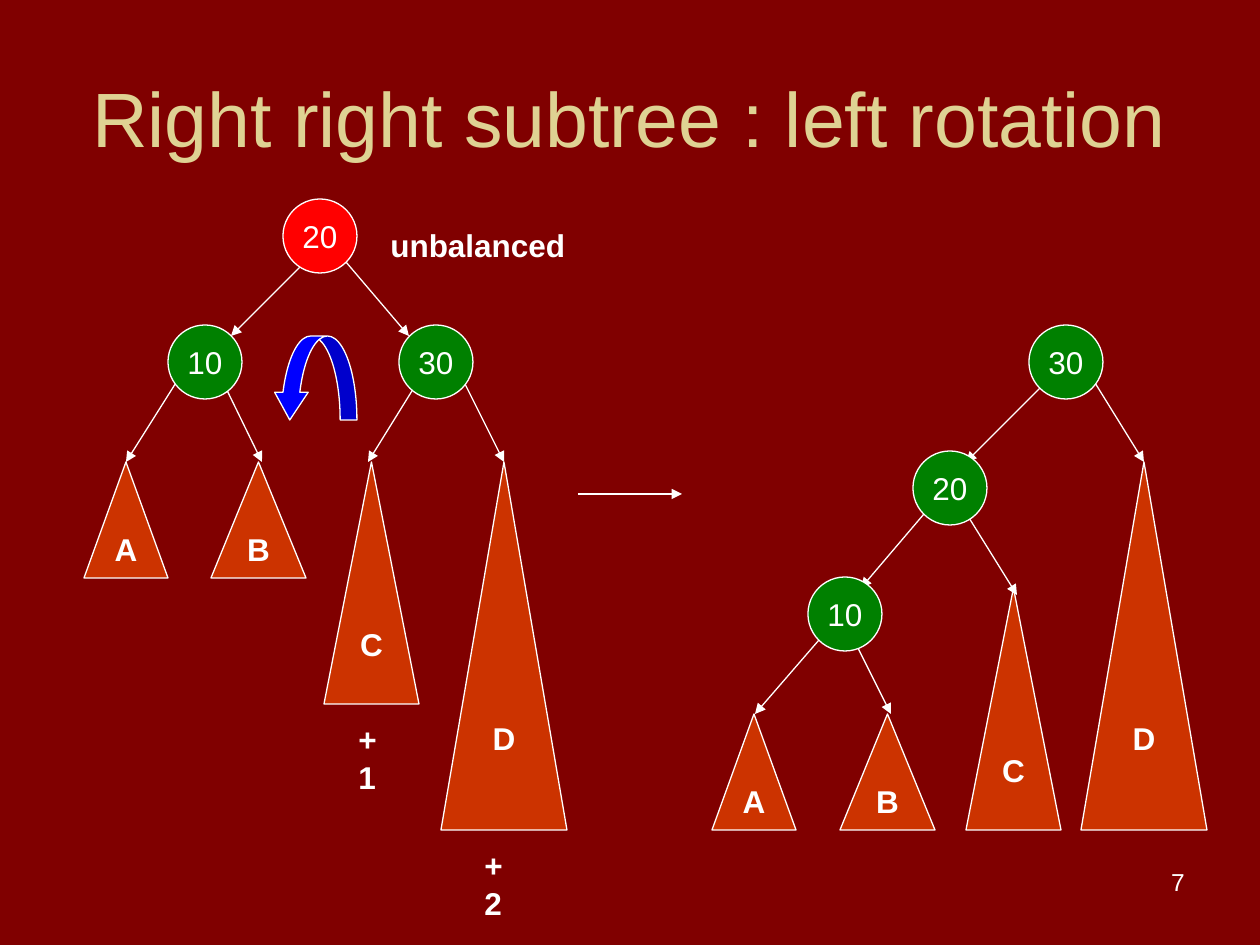
from lxml import etree
from pptx import Presentation
from pptx import util as u
from pptx.dml.color import RGBColor
from pptx.enum import shapes, text
from pptx.oxml.ns import qn

PX = 914400 / 126
WHITE, RED, GREEN, ORANGE, BLUE = "FFFFFF", "FF0000", "008000", "CC3300", "0000FF"
SHAPE = shapes.MSO_SHAPE
ALIGN = text.PP_ALIGN
ANCHOR = text.MSO_ANCHOR

prs = Presentation()
prs.slide_width, prs.slide_height = (u.Emu(round(v * PX)) for v in (1260, 945))
s = prs.slides.add_slide(prs.slide_layouts[6])
s.background.fill.solid()
s.background.fill.fore_color.rgb = RGBColor.from_string("800000")


def write(sp, words, align, anchor, wrap=False, color=WHITE, **font):
    tf = sp.text_frame
    tf.word_wrap = wrap
    tf.vertical_anchor = anchor
    p = tf.paragraphs[0]
    p.alignment = align
    r = p.add_run()
    r.text = words
    r.font.color.rgb = RGBColor.from_string(color)
    for name, value in {"name": "Arial", "size": u.Pt(18), **font}.items():
        setattr(r.font, name, value)


def add_filled(kind, box, color):
    sp = s.shapes.add_shape(kind, *(u.Emu(round(v * PX)) for v in box))
    sp.shadow.inherit = False
    sp.fill.solid()
    sp.fill.fore_color.rgb = RGBColor.from_string(color)
    sp.line.color.rgb = RGBColor.from_string(WHITE)
    sp.line.width = u.Pt(0.75)
    return sp


# Subtrees: label, left, top, width, height
subtrees = [
    ("A", 84, 462, 84, 116), ("B", 211, 462, 95, 116),
    ("C", 324, 462, 95, 242), ("D", 441, 462, 126, 368),
    ("A", 712, 714, 84, 116), ("B", 840, 714, 95, 116),
    ("C", 966, 588, 95, 242), ("D", 1081, 462, 126, 368),
]
for label, *box in subtrees:
    sp = add_filled(SHAPE.ISOSCELES_TRIANGLE, box, ORANGE)
    write(sp, label, ALIGN.CENTER, ANCHOR.MIDDLE, bold=True)

# Tree edges, and the step arrow between the two trees
arrows = [
    (305, 262, 231, 336), (346, 262, 409, 336),
    (179, 378, 126, 462), (221, 378, 262, 462),
    (420, 378, 368, 462), (462, 378, 504, 462),
    (578, 494, 682, 494),
    (1040, 388, 966, 462), (1092, 378, 1144, 462),
    (924, 514, 861, 588), (966, 513, 1017, 595),
    (819, 640, 755, 714), (849, 630, 891, 714),
]
for ends in arrows:
    c = s.shapes.add_connector(shapes.MSO_CONNECTOR.STRAIGHT,
                               *(u.Emu(round(v * PX)) for v in ends))
    c.line.color.rgb = RGBColor.from_string(WHITE)
    c.line.width = u.Pt(0.75)
    etree.SubElement(c.line._get_or_add_ln(), qn("a:tailEnd"), type="triangle")
    etree.SubElement(c._element.spPr, qn("a:effectLst"))

# Nodes: key, left, top, colour
nodes = [
    ("20", 283, 199, RED), ("10", 168, 325, GREEN), ("30", 399, 325, GREEN),
    ("30", 1029, 325, GREEN), ("20", 913, 451, GREEN), ("10", 808, 577, GREEN),
]
for key, left, top, color in nodes:
    sp = add_filled(SHAPE.OVAL, (left, top, 74, 74), color)
    write(sp, key, ALIGN.CENTER, ANCHOR.MIDDLE)

# Rotation arrow, turned to point left
rotation = add_filled(SHAPE.CURVED_DOWN_ARROW, (273, 336, 84, 84), BLUE)
for i, value in enumerate((0.2, 0.4, 0.33)):
    rotation.adjustments[i] = value
rotation._element.spPr.find(qn("a:xfrm")).set("flipH", "1")

# Text: words, box, alignment, anchor, format
bold = {"bold": True}
labels = [
    ("Right right subtree : left rotation", (63, 38, 1134, 158), ALIGN.CENTER, ANCHOR.MIDDLE,
     {"wrap": True, "color": "DFD293", "size": u.Pt(44)}),
    ("unbalanced", (378, 220, 200, 50), ALIGN.LEFT, ANCHOR.TOP, bold),
    ("+1", (346, 714, 60, 50), ALIGN.LEFT, ANCHOR.TOP, bold),
    ("+2", (472, 840, 60, 50), ALIGN.LEFT, ANCHOR.TOP, bold),
    ("7", (903, 861, 294, 65), ALIGN.RIGHT, ANCHOR.TOP, {"wrap": True, "size": u.Pt(14)}),
]
for words, box, align, anchor, style in labels:
    sp = s.shapes.add_textbox(*(u.Emu(round(v * PX)) for v in box))
    write(sp, words, align, anchor, **style)

prs.save("out.pptx")
